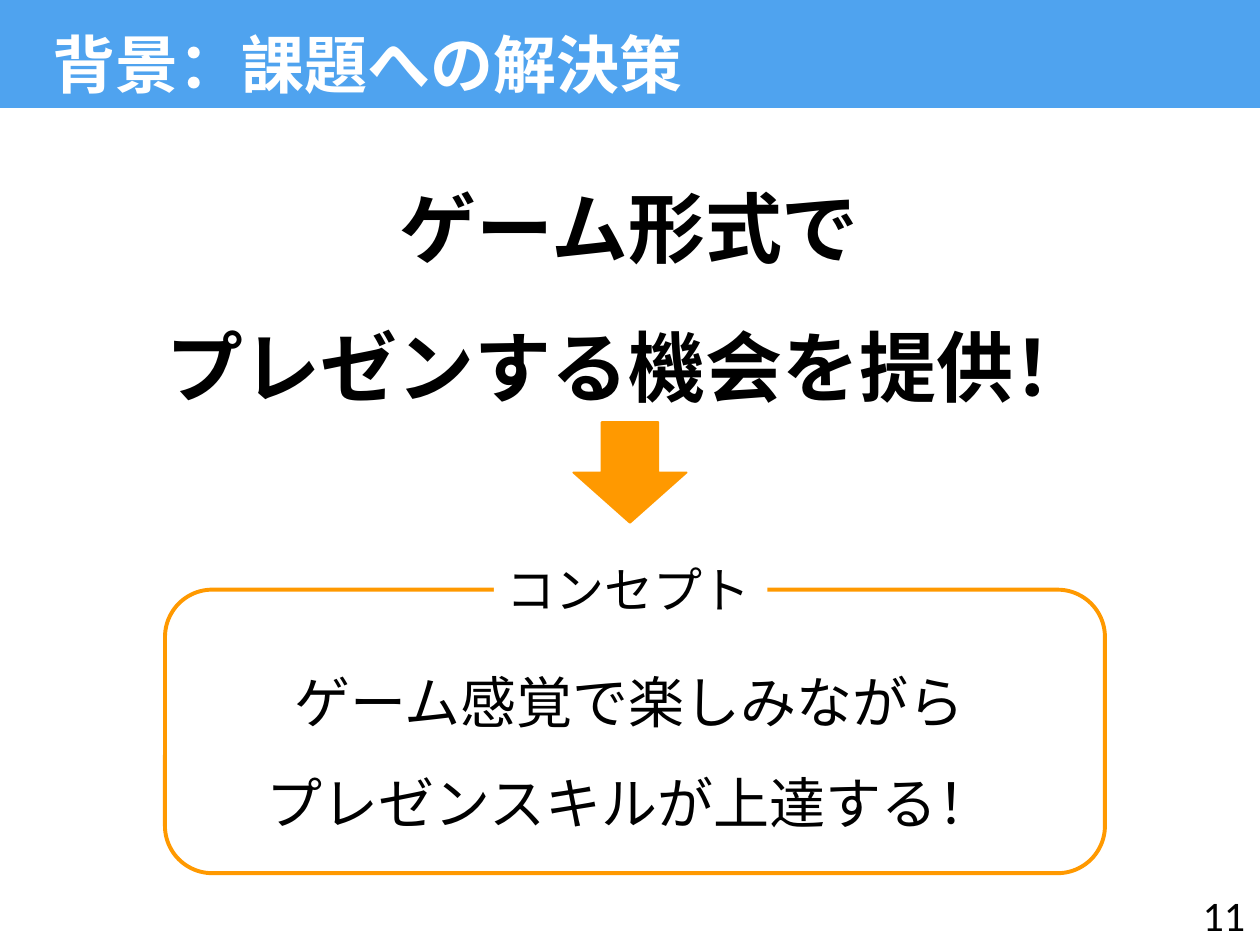
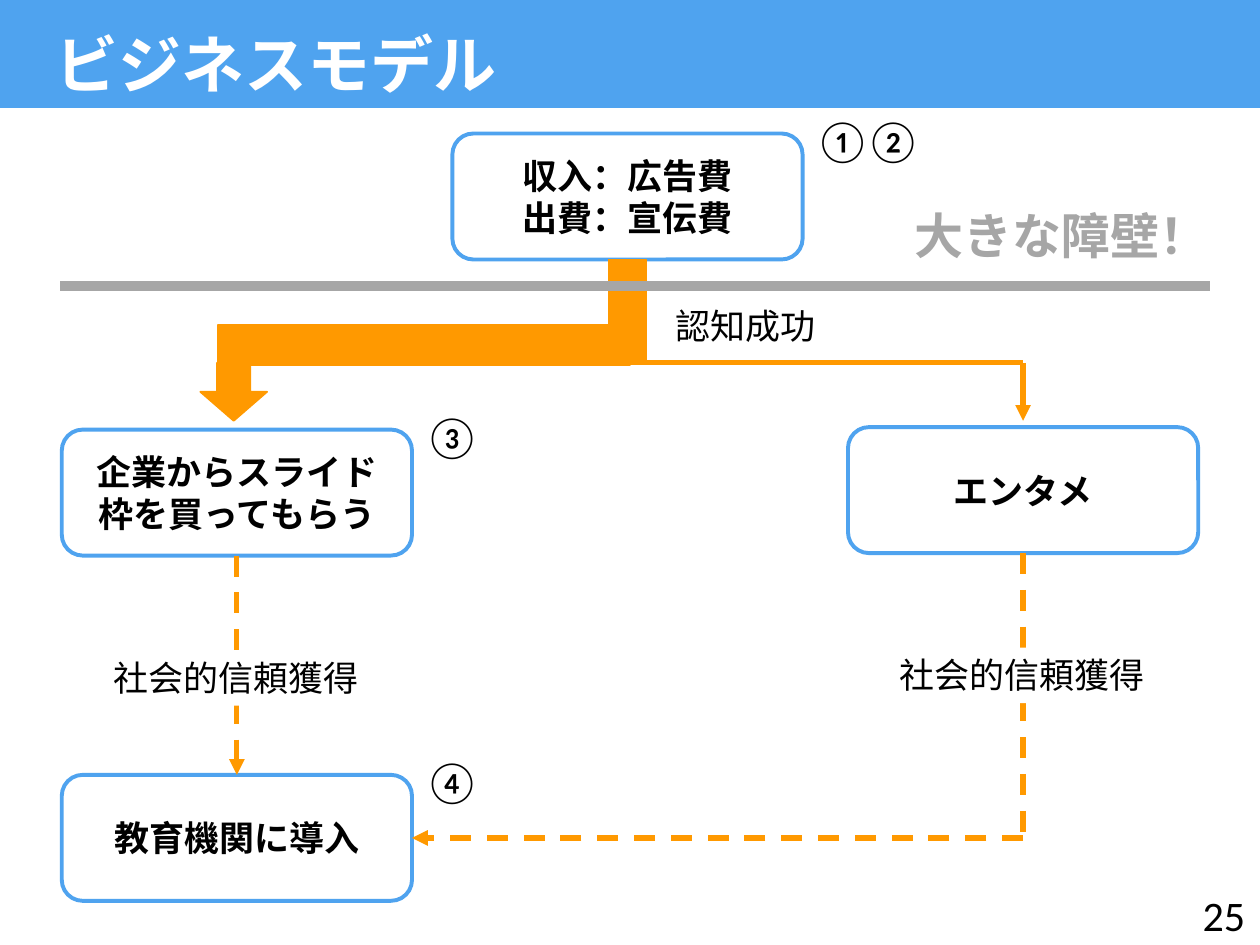
from dataclasses import dataclass

from lxml import etree
from pptx import Presentation
from pptx.dml.color import RGBColor
from pptx.enum import dml, shapes, text
from pptx.oxml import ns
from pptx.util import Inches, Pt


@dataclass(frozen=True)
class Theme:
    blue: str = "4FA3EF"
    orange: str = "FF9900"
    gray: str = "A6A6A6"
    white: str = "FFFFFF"
    black: str = "000000"
    heading_font: str = "Arial"
    body_font: str = "Calibri"
    title: int = 36
    message: int = 44
    concept: int = 32
    caption: int = 28
    marker: int = 24
    label: int = 20
    outline: float = 2.25
    flow: float = 3
    barrier: float = 6


@dataclass(frozen=True)
class Box:
    left: float
    top: float
    width: float
    height: float

    def inside(self, left, top, width, height):
        return Box(self.left + left, self.top + top, width, height)

    @property
    def center(self):
        return self.left + self.width / 2

    @property
    def middle(self):
        return self.top + self.height / 2

    @property
    def right(self):
        return self.left + self.width

    @property
    def bottom(self):
        return self.top + self.height

    def lengths(self):
        return [Inches(value) for value in (self.left, self.top, self.width, self.height)]


THEME = Theme()
PAGE = Box(0, 0, 10, 7.5)
KIND = shapes.MSO_SHAPE
LEFT, CENTER, RIGHT = text.PP_ALIGN.LEFT, text.PP_ALIGN.CENTER, text.PP_ALIGN.RIGHT
TOP, MIDDLE = text.MSO_ANCHOR.TOP, text.MSO_ANCHOR.MIDDLE


def rgb(color):
    return RGBColor.from_string(color)


def write(shape, lines, size, font=THEME.body_font, color=THEME.black, bold=False,
          align=LEFT, anchor=TOP, wrap=True, spacing=None):
    frame = shape.text_frame
    frame.word_wrap = wrap
    frame.auto_size = text.MSO_AUTO_SIZE.NONE
    frame.vertical_anchor = anchor
    for index, line in enumerate(lines):
        paragraph = frame.paragraphs[0] if index == 0 else frame.add_paragraph()
        paragraph.alignment = align
        if spacing:
            paragraph.line_spacing = spacing
        run = paragraph.add_run()
        run.text = line
        run.font.size = Pt(size)
        run.font.name = font
        run.font.bold = bold
        run.font.color.rgb = rgb(color)


def add_text(slide, box, lines, size, **style):
    write(slide.shapes.add_textbox(*box.lengths()), lines, size, **style)


def add_block(slide, kind, box, fill=None, line=None, width=1):
    shape = slide.shapes.add_shape(kind, *box.lengths())
    shape.shadow.inherit = False
    if fill:
        shape.fill.solid()
        shape.fill.fore_color.rgb = rgb(fill)
    else:
        shape.fill.background()
    if line:
        shape.line.color.rgb = rgb(line)
        shape.line.width = Pt(width)
    else:
        shape.line.fill.background()
    return shape


def add_line(slide, start, end, color=THEME.orange, width=THEME.flow, dashed=False, arrow=False):
    connector = slide.shapes.add_connector(
        shapes.MSO_CONNECTOR.STRAIGHT, *[Inches(value) for value in (*start, *end)])
    connector.line.color.rgb = rgb(color)
    connector.line.width = Pt(width)
    if dashed:
        connector.line.dash_style = dml.MSO_LINE.DASH
    properties = connector._element.spPr
    if arrow:
        etree.SubElement(properties.find(ns.qn("a:ln")), ns.qn("a:tailEnd"), type="triangle")
    etree.SubElement(properties, ns.qn("a:effectLst"))


def add_page(presentation, title, title_left, number):
    slide = presentation.slides.add_slide(presentation.slide_layouts[5])
    band = add_block(slide, KIND.RECTANGLE, PAGE.inside(0, 0, PAGE.width, 0.85),
                     THEME.blue, THEME.blue)
    heading = slide.shapes.title
    heading._element.addprevious(band._element)
    heading.left, heading.top, heading.width, heading.height = PAGE.inside(
        title_left, 0.15, 9.4, 0.71).lengths()
    write(heading, [title], THEME.title, THEME.heading_font, THEME.white, bold=True)
    add_text(slide, PAGE.inside(7.73, 7.06, 2.25, 0.4), [number], THEME.marker,
             align=RIGHT, anchor=MIDDLE)
    return slide


def add_concept(slide, box):
    add_block(slide, KIND.ROUNDED_RECTANGLE, box, line=THEME.orange, width=THEME.outline)
    add_text(slide, box.inside(0.09, 0.3, 7.2, 1.65),
             ["ゲーム感覚で楽しみながら", "プレゼンスキルが上達する！"], THEME.concept,
             font=THEME.heading_font, align=CENTER, spacing=1.5)
    caption = add_block(slide, KIND.RECTANGLE, box.inside(2.61, -0.29, 2.17, 0.57), THEME.white)
    write(caption, ["コンセプト"], THEME.caption, wrap=False)


def add_solution_slide(presentation):
    slide = add_page(presentation, "背景：課題への解決策", 0.32, "11")
    add_text(slide, PAGE.inside(0.28, 1.02, 9.43, 2.23),
             ["ゲーム形式で", "プレゼンする機会を提供！"], THEME.message,
             font=THEME.heading_font, bold=True, align=CENTER, spacing=1.5)
    add_concept(slide, PAGE.inside(1.31, 4.68, 7.46, 2.25))
    add_block(slide, KIND.DOWN_ARROW, PAGE.inside(4.55, 3.35, 0.9, 0.8),
              THEME.orange, THEME.orange)


def add_node(slide, box, lines, markers=""):
    shape = add_block(slide, KIND.ROUNDED_RECTANGLE, box, THEME.white, THEME.blue, THEME.outline)
    write(shape, lines, THEME.label, bold=True, align=CENTER, anchor=MIDDLE)
    for index, marker in enumerate(markers):
        add_text(slide, box.inside(box.width + 0.4 * index, -0.2, 0.54, 0.5), [marker],
                 THEME.marker, wrap=False)


def add_trust_label(slide, node):
    label = add_block(slide, KIND.RECTANGLE, node.inside(0.31, 1.75, 2.17, 0.44), THEME.white)
    write(label, ["社会的信頼獲得"], THEME.label, wrap=False)


def add_recognition_flow(slide, source, company, leisure):
    """Draw the thick path to the company node and the thin one to the leisure node."""
    level = 2.88
    add_line(slide, (source.center, level), (leisure.center, level))
    add_line(slide, (leisure.center, level), (leisure.center, leisure.top - 0.05), arrow=True)
    add_block(slide, KIND.DOWN_ARROW, Box(company.center - 0.29, level, 0.53, 0.46),
              THEME.orange, THEME.orange)
    for bar in (Box(1.73, level - 0.3, 3.27, 0.32), Box(source.center - 0.15, 2.06, 0.3, 0.83)):
        add_block(slide, KIND.RECTANGLE, bar, THEME.orange, THEME.orange)
    add_text(slide, Box(5.26, level - 0.51, 1.32, 0.44), ["認知成功"], THEME.label, wrap=False)


def add_barrier(slide, box):
    add_line(slide, (box.left, box.bottom), (box.right, box.bottom), THEME.gray, THEME.barrier)
    add_text(slide, box.inside(6.68, 0, 2.56, 0.57), ["大きな障壁！"], THEME.caption,
             color=THEME.gray, bold=True, wrap=False)


def add_business_slide(presentation):
    slide = add_page(presentation, "ビジネスモデル", 0.34, "25")
    source, company, leisure, school = [
        PAGE.inside(left, top, 2.78, 1)
        for left, top in ((3.59, 1.06), (0.49, 3.41), (6.73, 3.39), (0.49, 6.15))]
    add_node(slide, source, ["収入：広告費", "出費：宣伝費"], "①②")
    add_node(slide, company, ["企業からスライド枠を買ってもらう"], "③")
    add_node(slide, leisure, ["エンタメ"])
    add_node(slide, school, ["教育機関に導入"], "④")

    corner = (leisure.center, school.middle)
    add_line(slide, (company.center, company.bottom), (school.center, school.top),
             dashed=True, arrow=True)
    add_line(slide, corner, (school.right, school.middle), dashed=True, arrow=True)
    add_line(slide, (leisure.center, leisure.bottom), corner, dashed=True)
    for node in (company, leisure):
        add_trust_label(slide, node)
    add_recognition_flow(slide, source, company, leisure)
    add_barrier(slide, PAGE.inside(0.48, 1.58, 9.12, 0.69))


def main():
    presentation = Presentation()
    presentation.slide_width = Inches(PAGE.width)
    presentation.slide_height = Inches(PAGE.height)
    add_solution_slide(presentation)
    add_business_slide(presentation)
    presentation.save("out.pptx")


if __name__ == "__main__":
    main()
